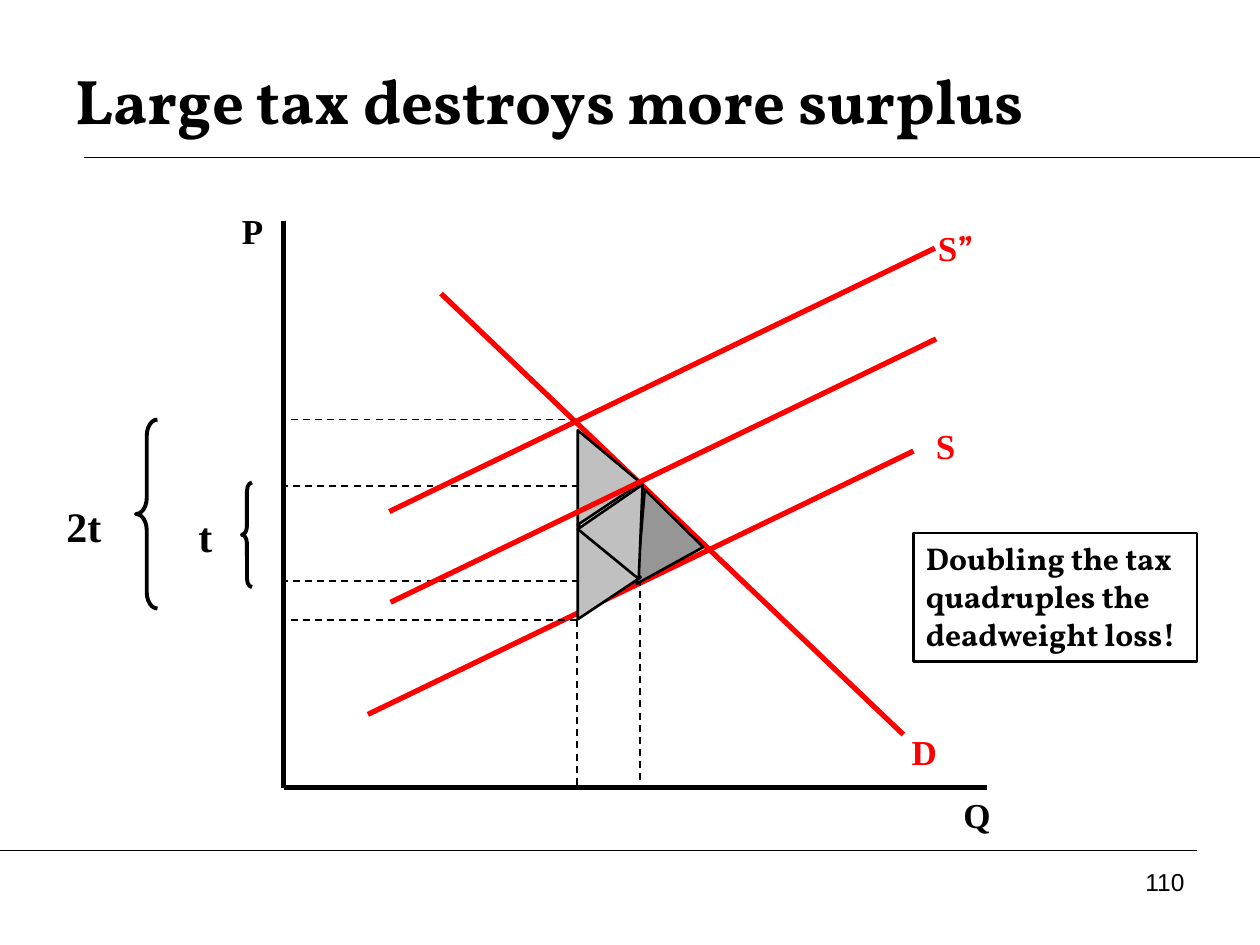
import pptx
import pptx.util
import pptx.dml.color
import pptx.enum.dml
import pptx.enum.shapes
import pptx.enum.text
import lxml.etree

Inches = pptx.util.Inches
Pt = pptx.util.Pt
KIND = pptx.enum.shapes.MSO_SHAPE
ALIGN = pptx.enum.text.PP_ALIGN
ANCHOR = pptx.enum.text.MSO_ANCHOR
DASH = pptx.enum.dml.MSO_LINE.DASH
BLACK, RED, LIGHT, DARK = "000000", "FF0000", "C0C0C0", "969696"
TIMES, SERIF = "Times New Roman", "Vollkorn"


def color(code):
    return pptx.dml.color.RGBColor.from_string(code)


def line(slide, x1, y1, x2, y2, code=BLACK, width=3, dash=None):
    link = slide.shapes.add_connector(
        pptx.enum.shapes.MSO_CONNECTOR.STRAIGHT,
        Inches(x1), Inches(y1), Inches(x2), Inches(y2))
    link.line.color.rgb = color(code)
    link.line.width = Pt(width)
    if dash:
        link.line.dash_style = dash
    lxml.etree.SubElement(link._element.spPr, pptx.oxml.ns.qn("a:effectLst"))


def shape(slide, kind, x, y, w, h, fill=None, width=1.5):
    form = slide.shapes.add_shape(kind, Inches(x), Inches(y), Inches(w), Inches(h))
    form.shadow.inherit = False
    if fill:
        form.fill.solid()
        form.fill.fore_color.rgb = color(fill)
    else:
        form.fill.background()
    form.line.color.rgb = color(BLACK)
    form.line.width = Pt(width)
    return form


def write(box, runs, size, code=BLACK, bold=True, align=ALIGN.CENTER, anchor=ANCHOR.TOP):
    frame = box.text_frame
    frame.word_wrap = True
    frame.vertical_anchor = anchor
    para = frame.paragraphs[0]
    para.alignment = align
    for words, face in runs:
        run = para.add_run()
        run.text = words
        run.font.name = face
        run.font.size = Pt(size)
        run.font.bold = bold
        run.font.color.rgb = color(code)


def label(slide, x, y, w, h, runs, size, **look):
    box = slide.shapes.add_textbox(Inches(x), Inches(y), Inches(w), Inches(h))
    write(box, runs, size, **look)


def header(slide, x, y, w, h):
    label(slide, x, y, w, h, [("Large tax destroys more surplus", SERIF)], 36,
          align=ALIGN.LEFT, anchor=ANCHOR.MIDDLE)
    for start in (0.67, 1.25):
        line(slide, start, y + h, 10, y + h, width=0.75)


def footer(slide, x, y, w, h):
    for end in (x + w, 7.08):
        line(slide, 0, y, end, y, width=0.75)
    label(slide, x, y + 0.08, w, h, [("110", "Arial")], 14, bold=False, align=ALIGN.RIGHT)


def graph(slide, x, y, w, h):
    # Axes
    line(slide, x, y, x, y + h)
    line(slide, x + w, y + h, x, y + h)

    # Supply and demand
    curves = [(5, 1.83, 0.67, 3.92), (1.25, 0.58, 4.92, 4.08)]
    for x1, y1, x2, y2 in curves:
        line(slide, x + x1, y + y1, x + x2, y + y2, RED)

    # Guides to the price axis, then to the quantity axis
    small, large = 2.83, 2.33
    for right, down in [(small, 2.86), (small, 2.11), (large, 1.58), (large, 3.17)]:
        line(slide, x + right, y + down, x, y + down, width=1, dash=DASH)
    for right, down in [(small, 2.17), (large, 3.17)]:
        line(slide, x + right, y + down, x + right, y + h, width=1, dash=DASH)

    # Deadweight loss wedges
    wedges = [(2.71, 2.28, 94.8, DARK, 0.556, False),
              (2.21, 2.54, 90, LIGHT, 0.556, False),
              (2.21, 1.79, 90, LIGHT, 0.556, False),
              (2.21, 2.21, 272.4, LIGHT, 0.5, True)]
    for right, down, turn, fill, peak, flip in wedges:
        wedge = shape(slide, KIND.ISOSCELES_TRIANGLE, x + right, y + down, 0.75, 0.5, fill)
        wedge.adjustments[0] = peak
        wedge.rotation = turn
        if flip:
            wedge._element.spPr.xfrm.set("flipH", "1")

    # Supply with the large and the small tax
    for right, down in [(5.17, 0.22), (5.18, 0.94)]:
        line(slide, x + right, y + down, x + right - 4.33, y + down + 2.09, RED)

    # Axis and curve names
    names = [(5.17, 4.5, [("Q", TIMES)], BLACK),
             (-0.58, -0.14, [("P", TIMES)], BLACK),
             (4.75, 4, [("D", TIMES)], RED),
             (4.92, 1.57, [("S", TIMES)], RED),
             (5, 0, [("S", TIMES), ("”", SERIF)], RED)]
    for right, down, runs, code in names:
        label(slide, x + right, y + down, 0.67, 0.43, runs, 20, code=code)


def taxes(slide, x, y, w, h):
    # Each brace: left, top, width, height, curl
    for left, top, wide, high, curl in [(0.75, 0, 0.17, h, 0.75),
                                        (w - 0.08, 0.5, 0.08, 0.83, 0.833)]:
        brace = shape(slide, KIND.LEFT_BRACE, x + left, y + top, wide, high, width=2.25)
        brace.adjustments[0] = curl
        brace.adjustments[1] = 0.5
    for left, top, wide, words in [(0, 0.59, 0.67, "2t"), (1.09, 0.67, 0.42, "t")]:
        label(slide, x + left, y + top, wide, 0.5, [(words, TIMES)], 24)


def callout(slide, x, y, w, h):
    box = shape(slide, KIND.RECTANGLE, x, y, w, h)
    write(box, [("Doubling the tax quadruples the deadweight loss!", SERIF)], 18,
          align=ALIGN.LEFT)


def main():
    deck = pptx.Presentation()
    deck.slide_width, deck.slide_height = Inches(10), Inches(7.5)
    slide = deck.slides.add_slide(deck.slide_layouts[6])
    header(slide, 0.5, 0.33, 9, 0.92)
    graph(slide, 2.25, 1.75, 5.58, 4.5)
    taxes(slide, 0.33, 3.33, 1.67, 1.5)
    callout(slide, 7.25, 4.23, 2.25, 1.02)
    footer(slide, 7.17, 6.75, 2.33, 0.52)
    deck.save("out.pptx")


if __name__ == "__main__":
    main()
